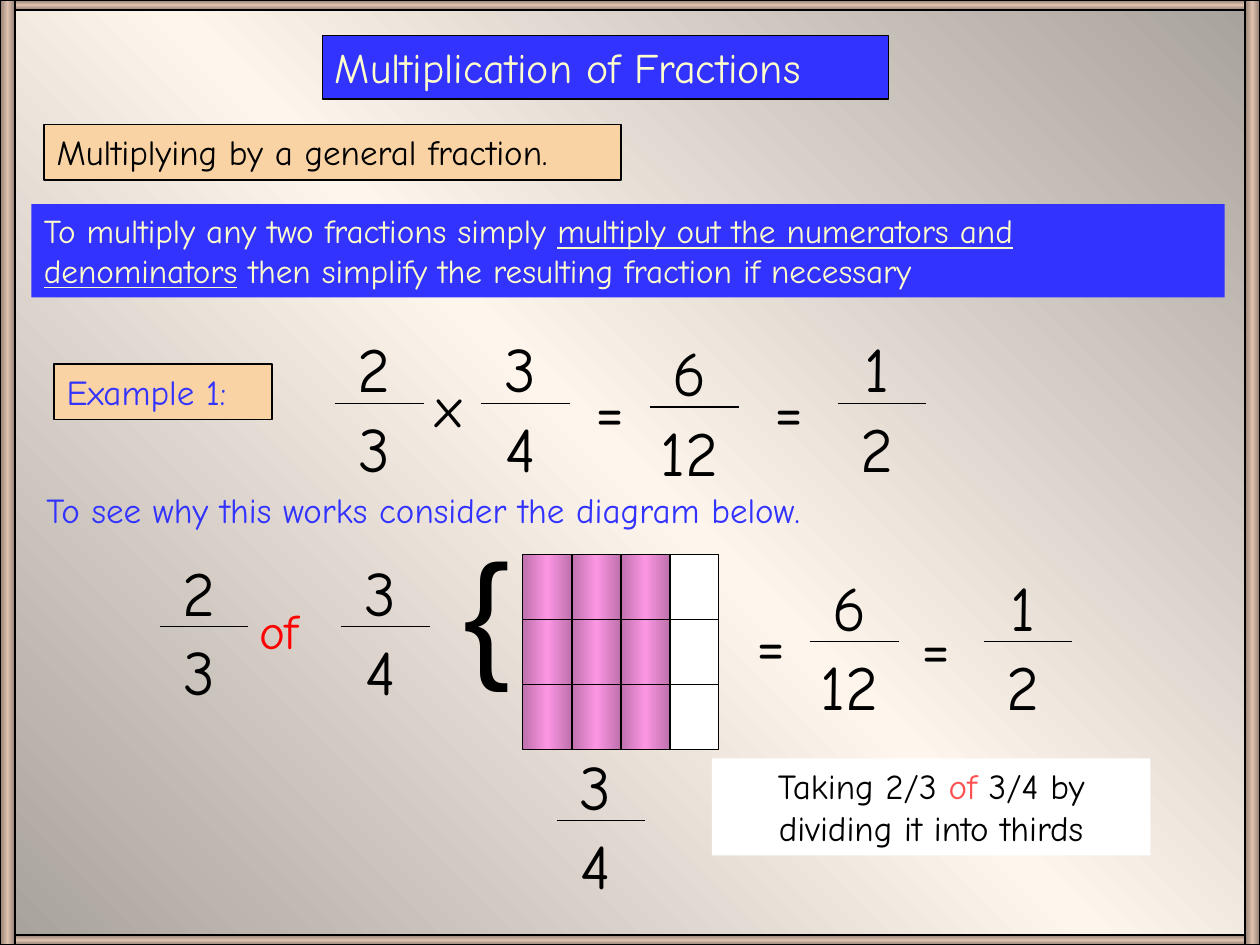
from dataclasses import dataclass
from lxml.etree import SubElement
from pptx import Presentation
from pptx.dml.color import RGBColor
from pptx.enum.shapes import MSO_CONNECTOR, MSO_SHAPE
from pptx.enum.text import MSO_ANCHOR, PP_ALIGN
from pptx.oxml.ns import qn
from pptx.util import Inches, Pt


@dataclass(frozen=True)
class Theme:
    blue: str = "3333FF"
    cream: str = "FFFFCC"
    peach: str = "FAD3A4"
    black: str = "000000"
    white: str = "FFFFFF"
    red: str = "FF0000"
    coral: str = "FF5050"
    stone: tuple = ("A7A19B", "FEF5EC", "A7A19B")
    wood: tuple = ("927F72", "DEC1AE", "927F72")
    pink: tuple = ("BE71AC", "FC96E4", "BE71AC")
    font: str = "Comic Neue"
    plain: str = "Arial"
    title: int = 24
    rule: int = 19
    body: int = 20
    word: int = 28
    times: int = 32
    digit: int = 36
    brace: int = 80
    edge: float = 0.75


THEME = Theme()
COLS, ROWS = 100, 75
WIDE, HIGH = Inches(10), Inches(7.5)


def across(cols):
    return round(WIDE * cols / COLS)


def down(rows):
    return round(HIGH * rows / ROWS)


def place(x, y, w, h):
    return across(x), down(y), across(w), down(h)


def blend(fill, root, tones, angle):
    fill.gradient()
    grad = root.find(".//" + qn("a:gradFill"))
    for child in list(grad):
        grad.remove(child)
    stops = SubElement(grad, qn("a:gsLst"))
    for spot, tone in zip((0, 50000, 100000), tones):
        stop = SubElement(stops, qn("a:gs"), pos=str(spot))
        SubElement(stop, qn("a:srgbClr"), val=tone)
    SubElement(grad, qn("a:lin"), ang=str(angle * 60000), scaled="0")


def stroke(line):
    line.color.rgb = RGBColor.from_string(THEME.black)
    line.width = Pt(THEME.edge)


def write(shape, runs, size, color=THEME.black, align=PP_ALIGN.LEFT, face=THEME.font):
    frame = shape.text_frame
    looks = {"word_wrap": True, "vertical_anchor": MSO_ANCHOR.TOP}
    for name, value in looks.items():
        setattr(frame, name, value)
    para = frame.paragraphs[0]
    para.alignment = align
    for text, extra in runs:
        run = para.add_run()
        run.text = text
        style = {"name": face, "size": Pt(size), "color": color} | extra
        tone = style.pop("color")
        for name, value in style.items():
            setattr(run.font, name, value)
        run.font.color.rgb = RGBColor.from_string(tone)


def block(slide, area, fill, edge=True, angle=0):
    shape = slide.shapes.add_shape(MSO_SHAPE.RECTANGLE, *place(*area))
    shape.shadow.inherit = False
    if isinstance(fill, tuple):
        blend(shape.fill, shape.element, fill, angle)
    else:
        shape.fill.solid()
        shape.fill.fore_color.rgb = RGBColor.from_string(fill)
    if edge:
        stroke(shape.line)
    else:
        shape.line.fill.background()
    return shape


def label(slide, area, text, size, **style):
    box = slide.shapes.add_textbox(*place(*area))
    write(box, [(text, {})], size, **style)


def rule(slide, x, y, length):
    line = slide.shapes.add_connector(
        MSO_CONNECTOR.STRAIGHT, across(x), down(y), across(x + length), down(y))
    stroke(line.line)
    SubElement(line.element.spPr, qn("a:effectLst"))


def ratio(slide, x, y, top, base):
    drop = 6.3
    for row, text in ((y, top), (y + drop, base)):
        label(slide, (x, row, 9.4, 7), text, THEME.digit, align=PP_ALIGN.CENTER)
    rule(slide, x + 1.57, y + drop, 7.05)


def equals(slide, x, y):
    label(slide, (x, y, 11, 7), "=", THEME.digit, align=PP_ALIGN.CENTER)


def frame(slide):
    thick, slim = 1.2, 0.8
    for y in (0, ROWS - slim):
        block(slide, (0, y, COLS, slim), THEME.wood, angle=90)
    for x in (0, COLS - thick):
        block(slide, (x, 0, thick, ROWS), THEME.wood)


def diagram(slide, x, y, parts, shaded, cuts):
    width, height = 3.89, 15.5
    for part in range(parts):
        fill = THEME.pink if part < shaded else THEME.white
        block(slide, (x + part * width, y, width, height), fill)
    for cut in range(1, cuts):
        rule(slide, x, y + cut * height / cuts, parts * width)


def headings(slide):
    title = block(slide, (25.6, 2.8, 44.9, 5.05), THEME.blue)
    write(title, [("Multiplication of Fractions", {})], THEME.title, THEME.cream)
    topic = block(slide, (3.5, 9.9, 45.8, 4.4), THEME.peach)
    write(topic, [("Multiplying by a general fraction.", {})], THEME.body)
    method = block(slide, (2.5, 16.2, 94.7, 7.4), THEME.blue, edge=False)
    write(method, [
        ("To multiply any two fractions simply ", {}),
        ("multiply out the numerators and denominators", {"underline": True}),
        (" then simplify the resulting fraction if necessary", {}),
    ], THEME.rule, THEME.cream)


def example(slide):
    tag = block(slide, (4.3, 28.9, 17.3, 4.4), THEME.peach)
    write(tag, [("Example 1:", {})], THEME.body, THEME.blue)
    ratio(slide, 25, 25.7, "2", "3")
    label(slide, (33.6, 29, 8.1, 6.4), "x", THEME.times)
    ratio(slide, 36.6, 25.7, "3", "4")
    equals(slide, 42.9, 28.9)
    ratio(slide, 50, 26, "6", "12")
    equals(slide, 57.1, 28.9)
    ratio(slide, 64.9, 25.7, "1", "2")


def reason(slide):
    label(slide, (2.7, 38.3, 71.3, 4.4),
          "To see why this works consider the diagram below.",
          THEME.body, color=THEME.blue)
    ratio(slide, 11.1, 43.4, "2", "3")
    label(slide, (19.6, 47.2, 8.8, 5.7), "of", THEME.word, color=THEME.red)
    ratio(slide, 25.5, 43.4, "3", "4")
    label(slide, (35.8, 41.1, 6.2, 14.4), "{", THEME.brace, face=THEME.plain)
    diagram(slide, 41.5, 44, parts=4, shaded=3, cuts=3)
    ratio(slide, 42.6, 58.8, "3", "4")
    equals(slide, 55.7, 47.5)
    ratio(slide, 62.7, 44.6, "6", "12")
    equals(slide, 68.8, 47.7)
    ratio(slide, 76.5, 44.6, "1", "2")
    note = block(slide, (56.5, 60.2, 34.8, 7.7), THEME.white, edge=False)
    write(note, [
        ("Taking 2/3 ", {}),
        ("of ", {"color": THEME.coral}),
        ("3/4 by dividing it into thirds", {}),
    ], THEME.body, align=PP_ALIGN.CENTER)


def main():
    deck = Presentation()
    deck.slide_width, deck.slide_height = WIDE, HIGH
    slide = deck.slides.add_slide(deck.slide_layouts[6])
    blend(slide.background.fill, slide.element, THEME.stone, 135)
    frame(slide)
    headings(slide)
    example(slide)
    reason(slide)
    deck.save("out.pptx")


if __name__ == "__main__":
    main()
